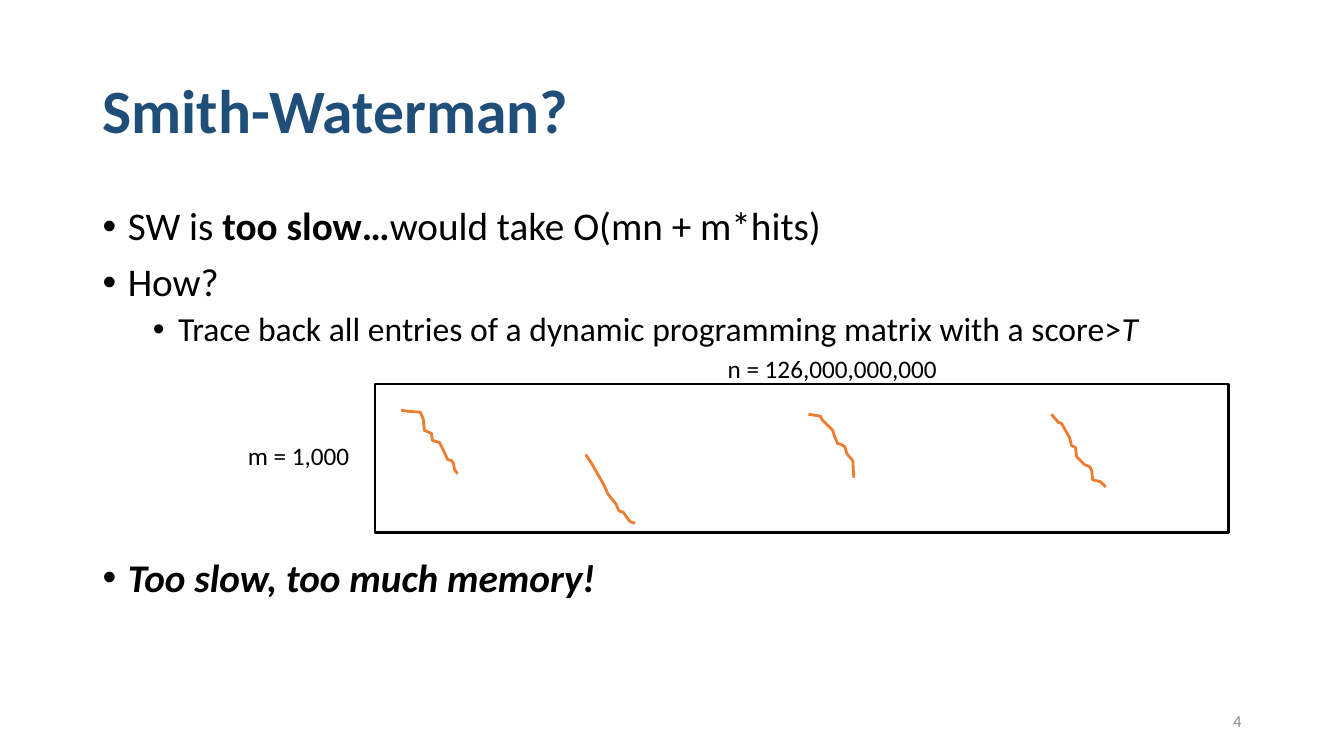
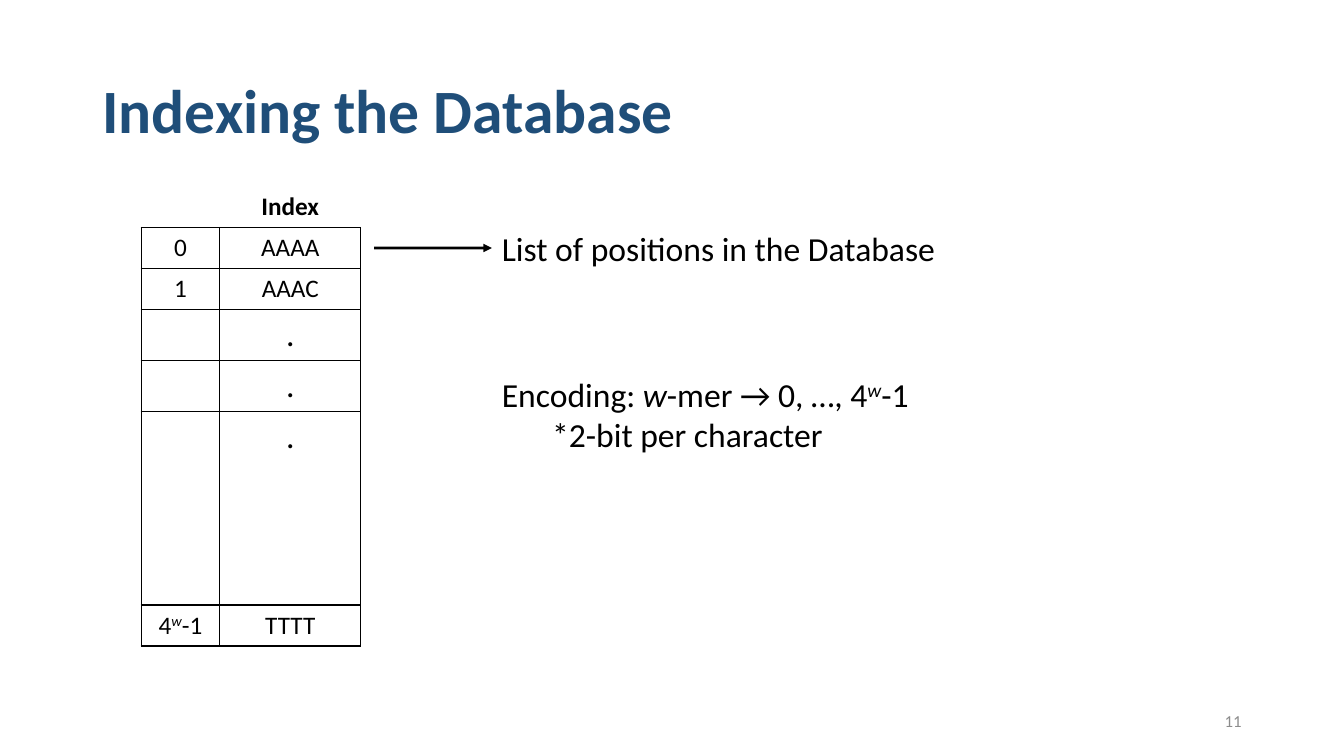
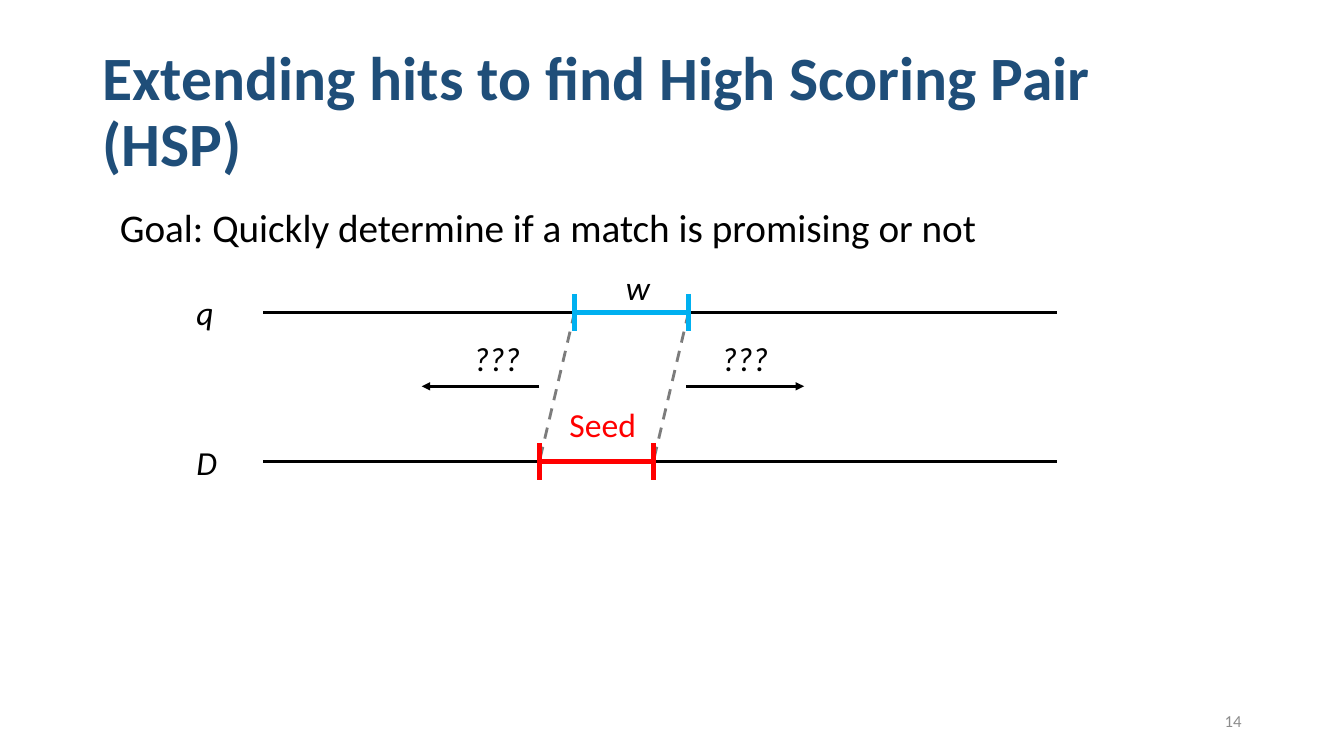
"""Build three slides on searching a sequence database."""
import pptx
import pptx.util
import pptx.dml.color
import pptx.enum.dml
import pptx.enum.shapes
import pptx.enum.text
import pptx.oxml.ns
import lxml.etree

WIDE = pptx.util.Inches(13.33)
HIGH = pptx.util.Inches(7.5)
STEP = WIDE / 1333
FACE = "Calibri"
HUES = {
    "title": "1F4E79",
    "text": "000000",
    "page": "8C8C8C",
    "trace": "ED7D31",
    "dash": "7C7C7C",
    "query": "00B0F0",
    "seed": "FF0000",
}
PLAIN = "{2D5ABB26-0587-4C30-8999-92F81FD0307C}"
LEFT = 6.88
TEXT = 36.6
LABEL = 6.67

ALIGN = pptx.enum.text.PP_ALIGN
qn = pptx.oxml.ns.qn

TRACES = [
    (29.85, 54.27, [(6, 1), (19, 2), (22, 9), (23, 20), (30, 23), (31, 30), (38, 32), (43, 42),
                    (46, 49), (50, 50), (52, 53), (53, 59), (56, 63)]),
    (43.58, 60.13, [(6, 9), (18, 30), (22, 39), (30, 49), (33, 56), (37, 57), (42, 64),
                    (45, 67), (49, 68)]),
    (60.15, 54.8, [(6, 1), (12, 2), (14, 6), (24, 16), (26, 22), (29, 29), (32, 30), (36, 32),
                   (38, 39), (44, 46), (45, 63)]),
    (78.23, 54.8, [(7, 8), (10, 9), (18, 23), (20, 31), (24, 33), (25, 42), (28, 45), (33, 50),
                   (38, 52), (40, 56), (41, 65), (45, 66), (49, 67), (54, 72)]),
]


def across(part):
    """Return a share of the slide's width, in percent, as a length."""
    return round(WIDE * part / 100)


def down(part):
    """Return a share of the slide's height, in percent, as a length."""
    return round(HIGH * part / 100)


def area(left, top, wide, high):
    """Return a place on the slide as four lengths."""
    return across(left), down(top), across(wide), down(high)


def hue(name):
    """Return a named colour."""
    return pptx.dml.color.RGBColor.from_string(HUES[name])


def write(para, parts, size, color="text"):
    """Write parts, each a string or a (string, marks) pair, as runs."""
    for part in parts:
        words, marks = (part, "") if isinstance(part, str) else part
        run = para.add_run()
        run.text = words
        run.font.name = FACE
        run.font.size = pptx.util.Pt(size)
        run.font.color.rgb = hue(color)
        run.font.bold = "b" in marks
        run.font.italic = "i" in marks
        if "^" in marks:
            run.font._element.set("baseline", "30000")


def indent(para, left, hang=0):
    """Set the left margin and hanging indent as shares of the width."""
    props = para._p.get_or_add_pPr()
    props.set("marL", str(across(left)))
    props.set("indent", str(-across(hang)))


def move(shape, *place):
    """Move a shape to a place given in shares."""
    shape.left, shape.top, shape.width, shape.height = area(*place)


def start(deck, layout, title, page):
    """Add a slide with its title and page number."""
    slide = deck.slides.add_slide(deck.slide_layouts[layout])
    head = slide.shapes.title
    move(head, LEFT, 5.33, 86.25, 19.33)
    head.text_frame.vertical_anchor = pptx.enum.text.MSO_ANCHOR.MIDDLE
    head.text_frame.auto_size = pptx.enum.text.MSO_AUTO_SIZE.NONE
    para = head.text_frame.paragraphs[0]
    para.alignment = ALIGN.LEFT
    para.line_spacing = 0.9
    write(para, [(title, "b")], 44, "title")
    foot = label(slide, (70.63, 92.67, 22.5, 5.33), [str(page)], 12, "page")
    foot.text_frame.vertical_anchor = pptx.enum.text.MSO_ANCHOR.MIDDLE
    foot.text_frame.paragraphs[0].alignment = ALIGN.RIGHT
    foot.text_frame.word_wrap = True
    return slide


def label(slide, place, parts, size=24, color="text"):
    """Add a text box of one line."""
    box = slide.shapes.add_textbox(*area(*place))
    box.text_frame.word_wrap = False
    write(box.text_frame.paragraphs[0], parts, size, color)
    return box


def points(shape, rows):
    """Fill a body with bullets given as (level, space before, parts)."""
    frame = shape.text_frame
    frame.auto_size = pptx.enum.text.MSO_AUTO_SIZE.NONE
    for spot, (level, gap, parts) in enumerate(rows):
        para = frame.add_paragraph() if spot else frame.paragraphs[0]
        para.level = level
        para.line_spacing = 0.9
        para.space_before = pptx.util.Pt(gap)
        indent(para, 1.88 + 3.75 * level, 1.88)
        props = para._p.get_or_add_pPr()
        font = lxml.etree.SubElement(props, qn("a:buFont"))
        font.set("typeface", "Arial")
        lxml.etree.SubElement(props, qn("a:buChar")).set("char", "•")
        write(para, parts, 28 - 4 * level)


def link(slide, ends, color="text", width=2, dash=False, arrow=False):
    """Add a straight line, dashed or with an arrowhead if asked."""
    left, top, right, base = ends
    line = slide.shapes.add_connector(
        pptx.enum.shapes.MSO_CONNECTOR.STRAIGHT,
        across(left), down(top), across(right), down(base))
    line.line.color.rgb = hue(color)
    line.line.width = pptx.util.Pt(width)
    if dash:
        line.line.dash_style = pptx.enum.dml.MSO_LINE.DASH
    props = line._element.spPr
    if arrow:
        tip = lxml.etree.SubElement(props.find(qn("a:ln")), qn("a:tailEnd"))
        tip.set("type", "triangle")
    lxml.etree.SubElement(props, qn("a:effectLst"))
    return line


def outline(shape, color):
    """Give a shape a plain outline and no fill."""
    shape.shadow.inherit = False
    shape.fill.background()
    shape.line.color.rgb = hue(color)
    shape.line.width = pptx.util.Pt(2)


def trace(slide, left, top, steps):
    """Draw one alignment trace from its start through its steps."""
    build = slide.shapes.build_freeform(0, 0, scale=STEP)
    build.add_line_segments(steps, close=False)
    outline(build.convert_to_shape(across(left), down(top)), "trace")


def border(cell, sides):
    """Draw thin lines on the named sides of a cell."""
    props = cell._tc.get_or_add_tcPr()
    for side in "LRTB":
        if side in sides:
            line = lxml.etree.SubElement(props, qn("a:ln" + side))
            line.set("w", str(pptx.util.Pt(1)))
            fill = lxml.etree.SubElement(line, qn("a:solidFill"))
            lxml.etree.SubElement(fill, qn("a:srgbClr")).set("val", HUES["text"])


def grid(slide, place, cols, rows, cells, cuts):
    """Add a table with rules above the rows named in cuts."""
    wide, high = sum(cols), sum(rows)
    table = slide.shapes.add_table(
        len(rows), len(cols), *area(*place, wide, high)).table
    table.first_row = table.horz_banding = False
    table._tbl.tblPr.find(qn("a:tableStyleId")).text = PLAIN
    for col, part in zip(table.columns, cols):
        col.width = across(part)
    for row, part in zip(table.rows, rows):
        row.height = down(part)
    for r in range(len(rows)):
        sides = ("LR" if r else "") + "T" * (r in cuts) + "B" * (r + 1 in cuts)
        for c in range(len(cols)):
            cell = table.cell(r, c)
            border(cell, sides)
            cell.fill.background()
            para = cell.text_frame.paragraphs[0]
            para.alignment = ALIGN.CENTER
            parts = cells.get((r, c), [])
            write(para, parts, 24 if parts == ["."] else 18)


def bracket(slide, left, right, mid, color):
    """Mark a span of a sequence with a bar and two ticks."""
    link(slide, (left, mid, right, mid), color, 4)
    for side in (left, right):
        link(slide, (side, mid - 2.45, side, mid + 2.45), color, 4)


def matrix(deck):
    """Build the slide on the cost of full alignment."""
    slide = start(deck, 1, "Smith-Waterman?", 4)
    body = slide.placeholders[1]
    move(body, LEFT, 26.67, 86.25, 63.47)
    points(body, [
        (0, 0, ["SW is ", ("too slow…", "b"), "would take O(mn + m*hits)"]),
        (0, 10, ["How?"]),
        (1, 5, ["Trace back all entries of a dynamic programming matrix with a score>",
                ("T", "i")]),
        (0, 150, [("Too slow, too much memory!", "bi")]),
    ])
    box = slide.shapes.add_shape(
        pptx.enum.shapes.MSO_SHAPE.RECTANGLE, *area(27.9, 50.8, 63.5, 19.6))
    outline(box, "text")
    label(slide, (17.7, 57.6, 9.15, 5.33), ["m = 1,000"], 18)
    label(slide, (53.4, 46.13, 17.25, 5.33), ["n = 126,000,000,000"], 18)
    for path in TRACES:
        trace(slide, *path)


def index(deck):
    """Build the slide on the word index."""
    slide = start(deck, 5, "Indexing the Database", 11)
    power = ["4", ("w", "i^"), "-1"]
    cells = {
        (0, 1): [("Index", "b")],
        (1, 0): ["0"], (1, 1): ["AAAA"],
        (2, 0): ["1"], (2, 1): ["AAAC"],
        (9, 0): power, (9, 1): ["TTTT"],
    }
    cells.update({(r, 1): ["."] for r in (3, 4, 5)})
    rows = [5.42] * 3 + [6.76] * 3 + [6.28] * 3 + [5.42]
    grid(slide, (10.5, 24.67), [5.85, 10.5], rows, cells, {1, 2, 3, 4, 9, 10})
    spots = label(slide, (TEXT, 29.47, 34.05, LABEL), ["List of positions in the Database"])
    arrow = link(slide, (27.83, 32.8, TEXT, 32.8), arrow=True)
    arrow.end_connect(spots, 1)
    code = label(slide, (TEXT, 48.8, 32.4, 12.13),
                 ["Encoding: ", ("w", "i"), "-mer → 0, …, "] + power)
    para = code.text_frame.add_paragraph()
    indent(para, 3.75)
    write(para, ["*2-bit per character"], 24)


def extend(deck):
    """Build the slide on extending a seed match."""
    slide = start(deck, 5, "Extending hits to find High Scoring Pair (HSP)", 14)
    query, base = 41.33, 61.07
    upper, lower, span, reach = 42.75, 40.13, 8.48, 8.75
    for shift in (0, span):
        link(slide, (upper + shift, query, lower + shift, base), "dash", dash=True)
    for name, mid in (("q", query), ("D", base)):
        link(slide, (19.58, mid, 78.68, mid))
        label(slide, (13.88, mid - LABEL / 2, 3, LABEL), [(name, "i")])
    bracket(slide, upper, upper + span, query, "query")
    bracket(slide, lower, lower + span, base, "seed")
    label(slide, (45.83, 34.67, 3.3, LABEL), [("w", "i")])
    label(slide, (41.63, 52.8, 6.53, LABEL), ["Seed"], color="seed")
    for left, tail, way in ((34.5, lower, -1), (52.95, 51.08, 1)):
        link(slide, (tail, 51.1, tail + way * reach, 51.1), arrow=True)
        label(slide, (left, 44, 5.03, LABEL), [("???", "i")])
    label(slide, (8.18, 26.27, 66.08, 7.6),
          ["Goal: Quickly determine if a match is promising or not"], 28)


def main():
    """Build and save the deck."""
    deck = pptx.Presentation()
    deck.slide_width, deck.slide_height = WIDE, HIGH
    matrix(deck)
    index(deck)
    extend(deck)
    deck.save("out.pptx")


if __name__ == "__main__":
    main()
